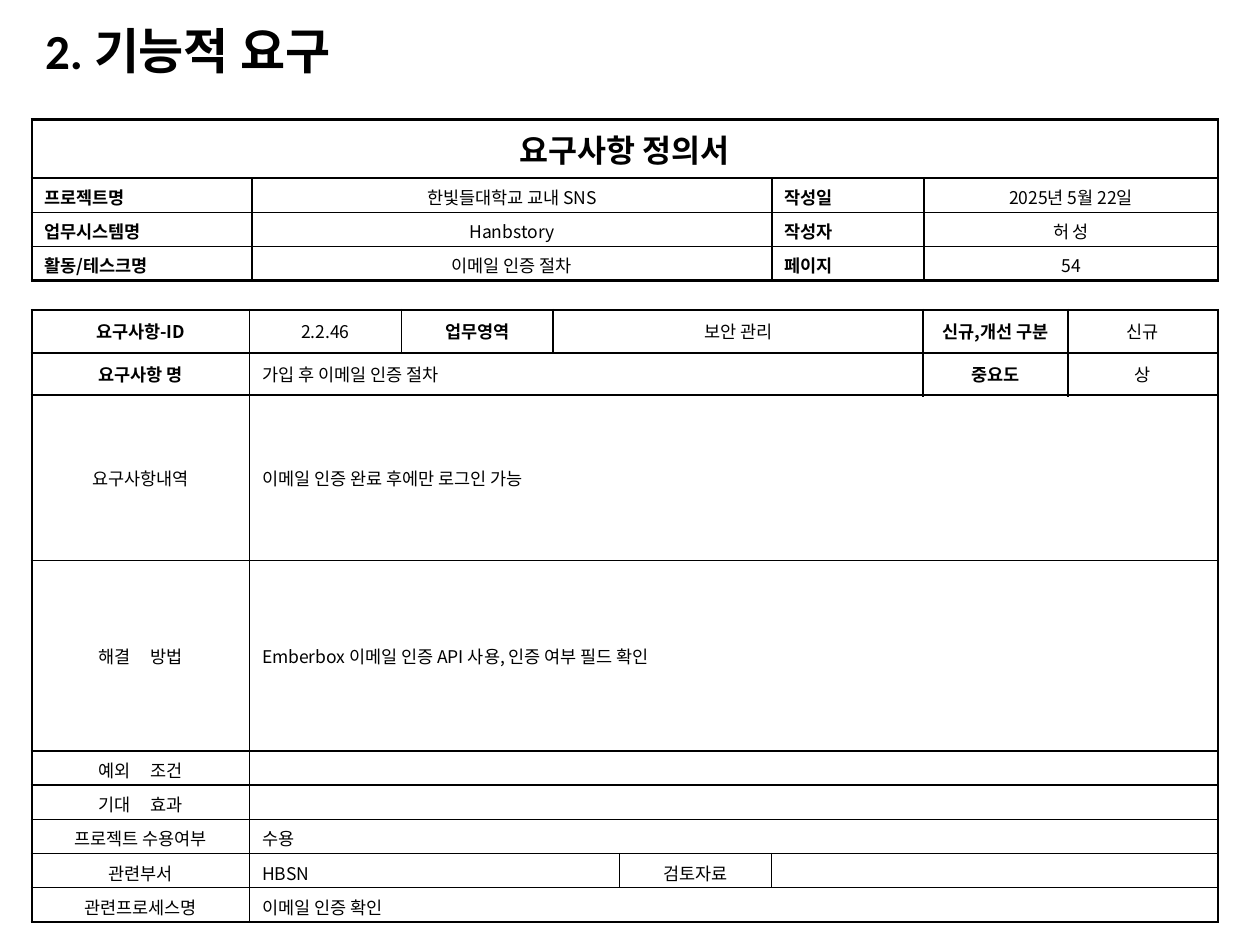
from lxml import etree
from pptx import Presentation
from pptx import util as u
from pptx.dml import color
from pptx.enum import text
from pptx.oxml import ns

FONT, INK = "Noto Sans CJK KR", "000000"
THIN, THICK = 1, 1.5
TITLE = "2. 기능적 요구"
STYLES = {
    "title": {"size": 18, "bold": True, "align": "CENTER"},
    "key": {"size": 10, "bold": True, "align": "JUSTIFY"},
    "head": {"size": 10, "bold": True, "align": "CENTER"},
    "mid": {"size": 10, "bold": False, "align": "CENTER"},
    "left": {"size": 10, "bold": False, "align": "LEFT"},
}
WIDE_GAP = {"해결 방법", "예외 조건", "기대 효과"}

SUMMARY = {
    "at": (0.64, 2.41),
    "cols": [4.44, 10.48, 3.07, 5.92],
    "heights": [1.18] + [0.69] * 3,
    "thick_lines": {0, 4},
    "thick_right": {1, 2, 3},
    "top_rows": {1, 2, 3},
    "rows": [
        [("요구사항 정의서", 4, "title")],
        [("프로젝트명", 1, "key"), ("한빛들대학교 교내 SNS", 1, "mid"),
         ("작성일", 1, "key"), ("2025년 5월 22일", 1, "mid")],
        [("업무시스템명", 1, "key"), ("Hanbstory", 1, "mid"),
         ("작성자", 1, "key"), ("허 성", 1, "mid")],
        [("활동/테스크명", 1, "key"), ("이메일 인증 절차", 1, "mid"),
         ("페이지", 1, "key"), ("54", 1, "mid")],
    ],
}
DETAIL = {
    "at": (0.64, 6.25),
    "cols": [4.39, 3.06, 3.06, 1.34, 3.06, 3.06, 2.92, 3.02],
    "heights": [0.86, 0.86, 3.33, 3.84] + [0.69] * 5,
    "thick_lines": {0, 1, 2, 9},
    "thick_right": {0, 1},
    "top_rows": set(),
    "rows": [
        [("요구사항-ID", 1, "head"), ("2.2.46", 1, "mid"), ("업무영역", 1, "head"),
         ("보안 관리", 3, "mid"), ("신규,개선 구분", 1, "head"), ("신규", 1, "mid")],
        [("요구사항 명", 1, "head"), ("가입 후 이메일 인증 절차", 5, "left"),
         ("중요도", 1, "head"), ("상", 1, "mid")],
        [("요구사항내역", 1, "mid"), ("이메일 인증 완료 후에만 로그인 가능", 7, "left")],
        [("해결 방법", 1, "mid"),
         ("Emberbox 이메일 인증 API 사용, 인증 여부 필드 확인", 7, "left")],
        [("예외 조건", 1, "mid"), ("", 7, "left")],
        [("기대 효과", 1, "mid"), ("", 7, "left")],
        [("프로젝트 수용여부", 1, "mid"), ("수용", 7, "left")],
        [("관련부서", 1, "mid"), ("HBSN", 3, "left"),
         ("검토자료", 1, "mid"), ("", 3, "left")],
        [("관련프로세스명", 1, "mid"), ("이메일 인증 확인", 7, "left")],
    ],
}


def rgb(value):
    return color.RGBColor.from_string(value)


def add_run(p, words, size, bold, latin=FONT):
    r = p.add_run()
    r.text = words
    for name, value in {"size": u.Pt(size), "bold": bold, "name": latin}.items():
        setattr(r.font, name, value)
    r.font.color.rgb = rgb(INK)
    etree.SubElement(r.font._element, ns.qn("a:ea"), typeface=FONT)
    return r


def write_cell(cell, words, style):
    p = cell.text_frame.paragraphs[0]
    p.alignment = getattr(text.PP_ALIGN, style["align"])
    pieces = words.partition(" ") if words in WIDE_GAP else (words,)
    for piece in filter(None, pieces):
        r = add_run(p, piece, style["size"], style["bold"])
        if piece == " ":
            r.font._element.set("spc", "900")
    if not words:
        end_size(cell, style["size"])


def end_size(cell, size):
    p = cell.text_frame.paragraphs[0]
    etree.SubElement(p._p, ns.qn("a:endParaRPr"), sz=str(size * 100))


def set_borders(cell, widths):
    tcPr = cell._tc.get_or_add_tcPr()
    for i, side in enumerate(s for s in "LRTB" if s in widths):
        ln = etree.Element(ns.qn(f"a:ln{side}"), w=str(u.Pt(widths[side])))
        fill = etree.SubElement(ln, ns.qn("a:solidFill"))
        etree.SubElement(fill, ns.qn("a:srgbClr"), val=INK)
        tcPr.insert(i, ln)


def add_grid(s, data):
    cols, heights = data["cols"], data["heights"]
    size = [u.Cm(v) for v in (*data["at"], sum(cols), sum(heights))]
    table = s.shapes.add_table(len(heights), len(cols), *size).table
    table.first_row = table.horz_banding = False
    for column, width in zip(table.columns, cols):
        column.width = u.Cm(width)
    for i, row in enumerate(data["rows"]):
        table.rows[i].height = u.Cm(heights[i])
        first = 0
        for words, span, style in row:
            last = first + span - 1
            right = THICK if last == len(cols) - 1 and i in data["thick_right"] else THIN
            for j in range(first, last + 1):
                cell = table.cell(i, j)
                cell.fill.background()
                widths = {side: THICK if line in data["thick_lines"] else THIN
                          for side, line in (("T", i), ("B", i + 1))}
                if j == first:
                    widths["L"] = THIN if j else THICK
                if j in (first, last):
                    widths["R"] = right
                set_borders(cell, widths)
                if j > first:
                    end_size(cell, STYLES[style]["size"])
            origin = table.cell(i, first)
            write_cell(origin, words, STYLES[style])
            top = i in data["top_rows"]
            origin.vertical_anchor = text.MSO_ANCHOR.TOP if top else text.MSO_ANCHOR.MIDDLE
            if span > 1:
                origin.merge(table.cell(i, last))
            first = last + 1


def main():
    prs = Presentation()
    prs.slide_width, prs.slide_height = u.Cm(25.4), u.Cm(19.05)
    s = prs.slides.add_slide(prs.slide_layouts[6])
    box = [u.Cm(v) for v in (0.66, 0.53, 13.61, 1.12)]
    tf = s.shapes.add_textbox(*box).text_frame
    tf.word_wrap = True
    tf.vertical_anchor = text.MSO_ANCHOR.MIDDLE
    p = tf.paragraphs[0]
    p.line_spacing = 0.9
    add_run(p, TITLE, 28, True, "Calibri")
    for data in (DETAIL, SUMMARY):
        add_grid(s, data)
    prs.save("out.pptx")


if __name__ == "__main__":
    main()
